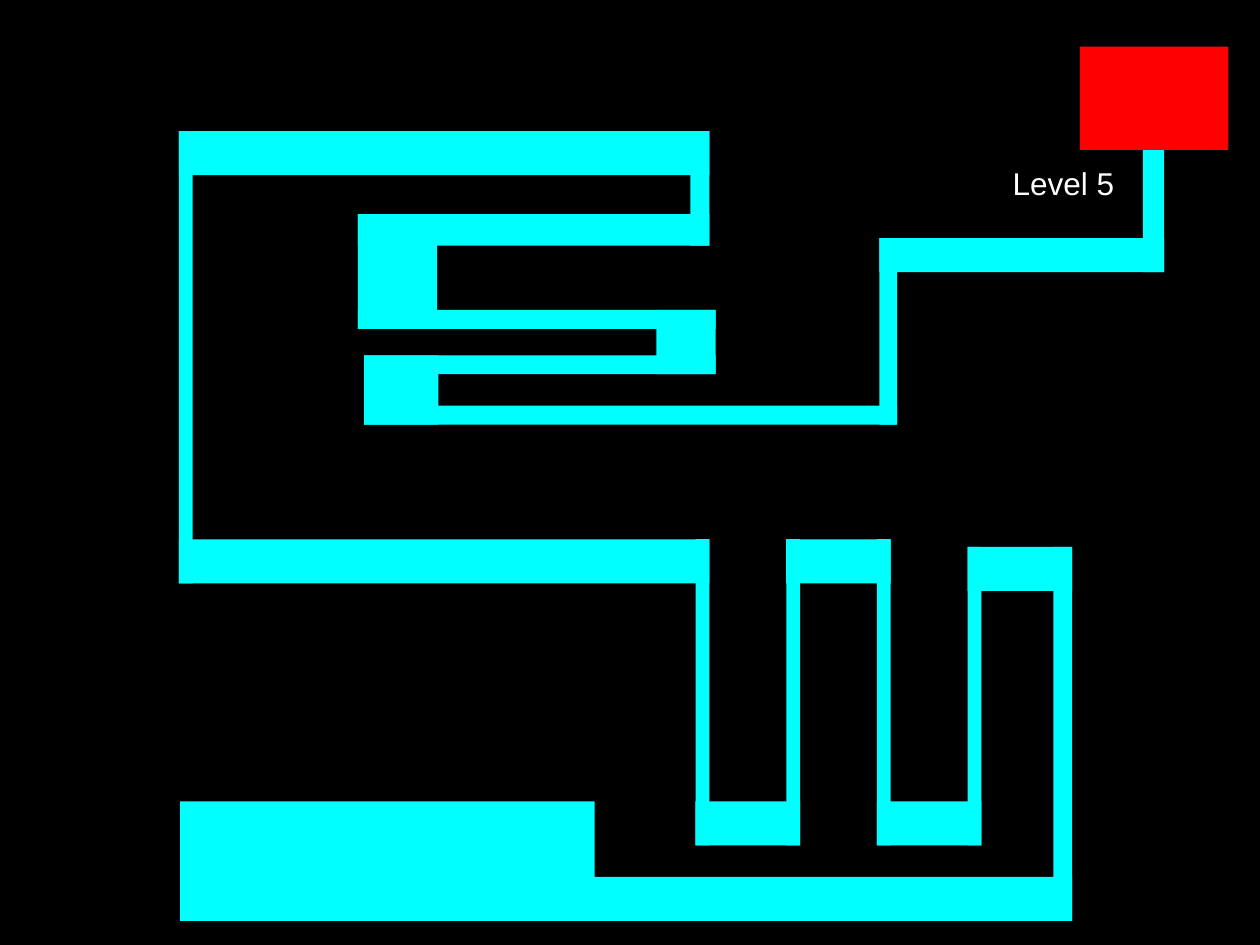
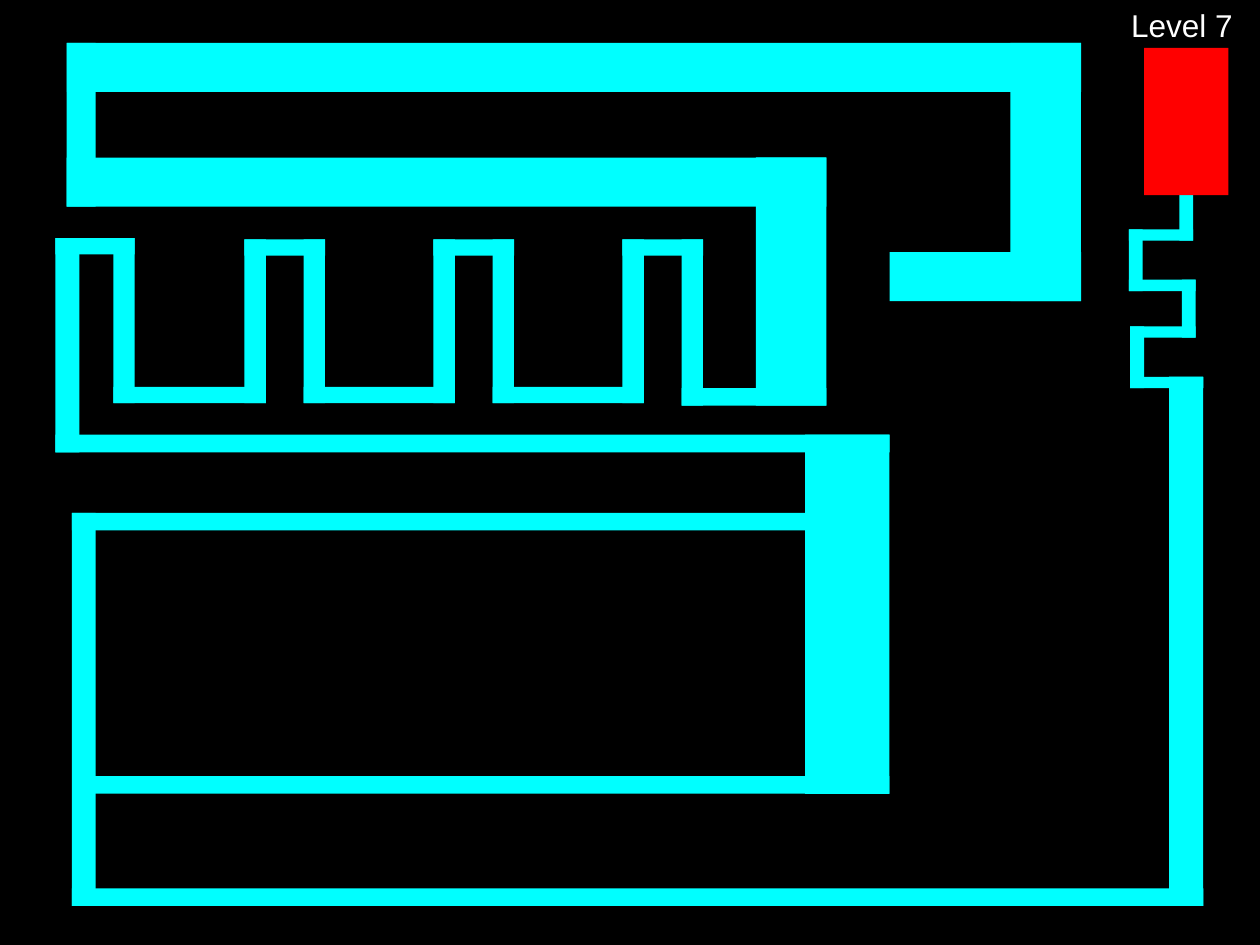
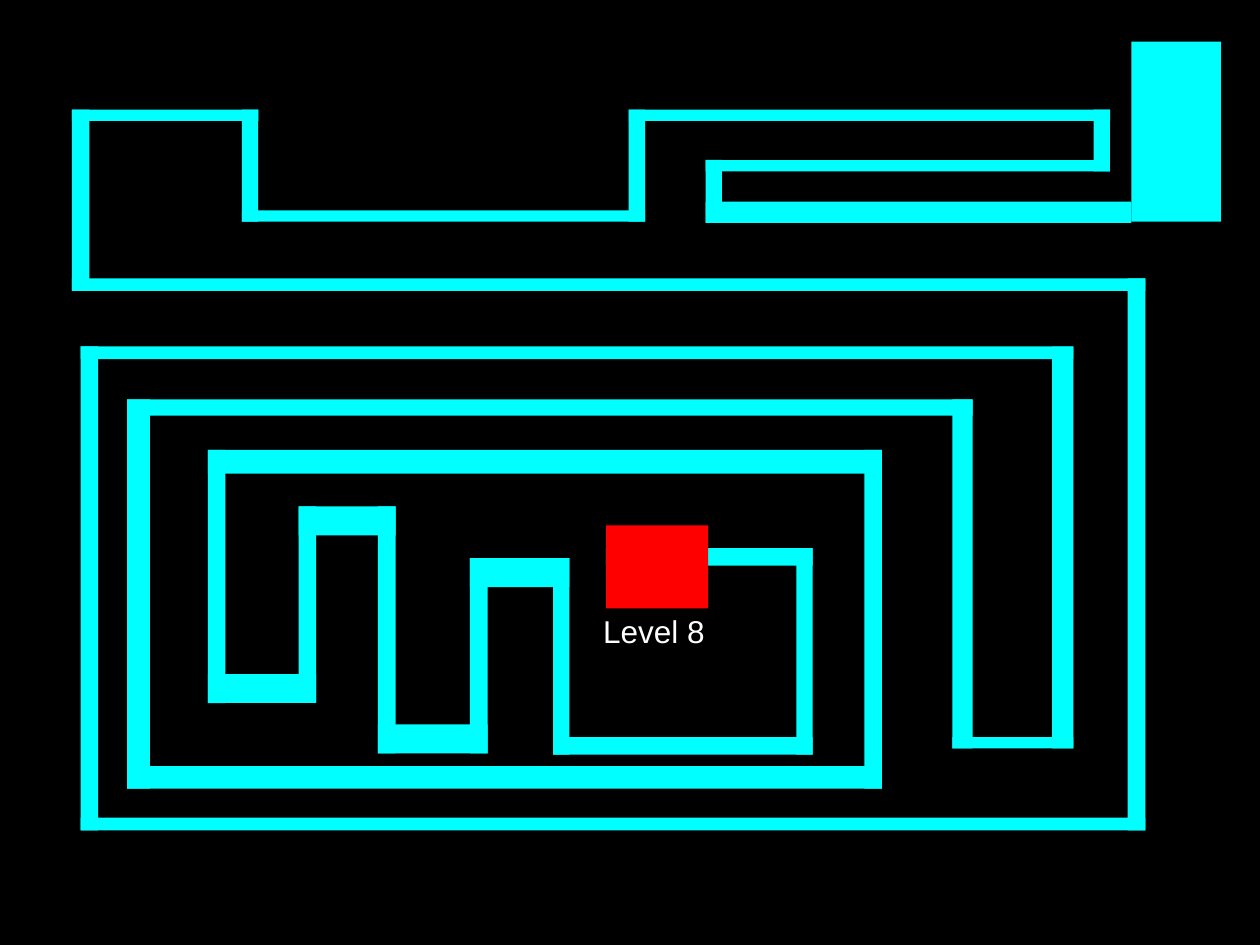
from itertools import chain

from pptx import Presentation
from pptx.dml.color import RGBColor
from pptx.enum.shapes import MSO_SHAPE
from pptx.enum.text import MSO_AUTO_SIZE, PP_ALIGN
from pptx.util import Inches, Pt

BACKGROUND = "000000"
PATH = "00FFFF"
GOAL = "FF0000"
LABEL = "FFFFFF"
FONT = "Arial"


def paint(fill, color):
    fill.solid()
    fill.fore_color.rgb = RGBColor.from_string(color)


def add_block(s, x, y, w, h, color):
    sp = s.shapes.add_shape(MSO_SHAPE.RECTANGLE, Inches(x), Inches(y), Inches(w), Inches(h))
    sp.shadow.inherit = False
    sp.line.fill.background()
    paint(sp.fill, color)


level_5_teeth = chain.from_iterable((7.68 - 0.72 * i, (6.36, 4.28)[i % 2]) for i in range(4))
level_7_teeth = chain.from_iterable(
    (5.41 - 1.5 * i, 1.9, 4.94 - 1.5 * i, 3.07) for i in range(3))

# Each run: corridor widths (upright, level), then alternating left and top edges.
levels = [
    {
        "label": ("Level 5", 7.93, 1.25),
        "goal": (8.57, 0.37, 1.18, 0.82),
        "start": [(1.43, 6.36, 3.29, 0.95)],
        "routes": [[
            (0, 0.35, [4.19, 6.96]),
            (0.15, 0.35, [8.36, 4.34]),
            (0.11, 0.35, [*level_5_teeth, 1.42, 1.04]),
            (0.15, 0.25, [5.48, 1.7]),
            (0.63, 0.15, [2.84, 2.46]),
            (0.47, 0.15, [5.21, 2.82]),
            (0.59, 0.15, [2.89, 3.22]),
            (0.14, 0.27, [6.98, 1.89]),
            (0.17, 0, [9.07, 1.04]),
        ]],
    },
    {
        "label": ("Level 7", 8.87, 0),
        "goal": (9.08, 0.38, 0.67, 1.17),
        "start": [],
        "routes": [
            [
                (0, 0.39, [7.06, 2]),
                (0.56, 0.39, [8.02, 0.34]),
                (0.23, 0.39, [0.53, 1.25]),
                (0.56, 0.14, [6, 3.08]),
                (0.17, 0.13, [*level_7_teeth, 0.9, 1.89]),
                (0.19, 0.14, [0.44, 3.45]),
                (0.67, 0.14, [6.39, 6.16]),
                (0, 0, [0.59]),
            ],
            [
                (0, 0.14, [6.63, 4.07]),
                (0.19, 0.14, [0.57, 7.05]),
                (0.27, 0.09, [9.28, 2.99]),
                (0.11, 0.09, [8.97, 2.59, 9.38, 2.22, 8.96, 1.82]),
                (0.11, 0, [9.36, 1.43]),
            ],
        ],
    },
    {
        "label": ("Level 8", 4.68, 4.81),
        "goal": (4.81, 4.17, 0.81, 0.66),
        "start": [(8.98, 0.33, 0.71, 1.43)],
        "routes": [[
            (0, 0.17, [8.98, 1.6]),
            (0.13, 0.09, [5.6, 1.27, 8.68, 0.87, 4.99, 1.67, 1.92, 0.87]),
            (0.14, 0.1, [0.57, 2.21, 8.95, 6.49, 0.64, 2.75]),
            (0.17, 0.09, [8.35, 5.85]),
            (0.16, 0.13, [7.56, 3.17]),
            (0.18, 0.18, [1.01, 6.08]),
            (0.14, 0.19, [6.86, 3.57]),
            (0.14, 0.23, [1.65, 5.35, 2.37, 4.02, 3, 5.75, 3.73, 4.43]),
            (0.13, 0.14, [4.39, 5.85, 6.32, 4.35]),
            (0, 0, [4.81]),
        ]],
    },
]

prs = Presentation()
prs.slide_width = Inches(10)
prs.slide_height = Inches(7.5)

for level in levels:
    s = prs.slides.add_slide(prs.slide_layouts[6])
    paint(s.background.fill, BACKGROUND)

    text, x, y = level["label"]
    tf = s.shapes.add_textbox(Inches(x), Inches(y), Inches(1.02), Inches(0.4)).text_frame
    tf.word_wrap = False
    tf.auto_size = MSO_AUTO_SIZE.SHAPE_TO_FIT_TEXT
    p = tf.paragraphs[0]
    p.alignment = PP_ALIGN.CENTER
    r = p.add_run()
    r.text = text
    r.font.name = FONT
    r.font.size = Pt(18)
    paint(r.font.fill, LABEL)

    for block in level["start"]:
        add_block(s, *block, PATH)

    for route in level["routes"]:
        legs = [(edge, (upright, flat)[i % 2])
                for upright, flat, edges in route for i, edge in enumerate(edges)]
        for i in range(1, len(legs) - 1):
            edge, width = legs[i]
            ends = legs[i - 1], legs[i + 1]
            near = min(a for a, b in ends)
            length = max(a + b for a, b in ends) - near
            if i % 2:
                add_block(s, near, edge, length, width, PATH)
            else:
                add_block(s, edge, near, width, length, PATH)

    add_block(s, *level["goal"], GOAL)

prs.save("out.pptx")
